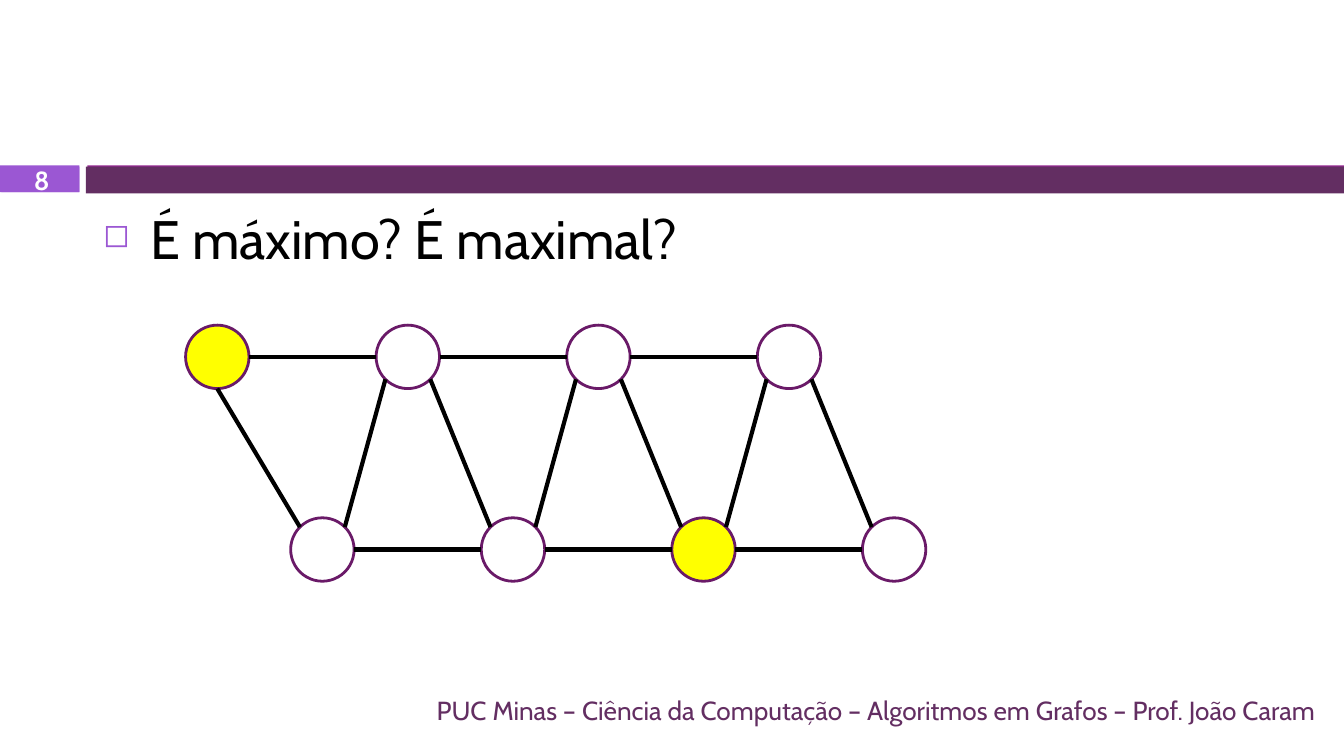
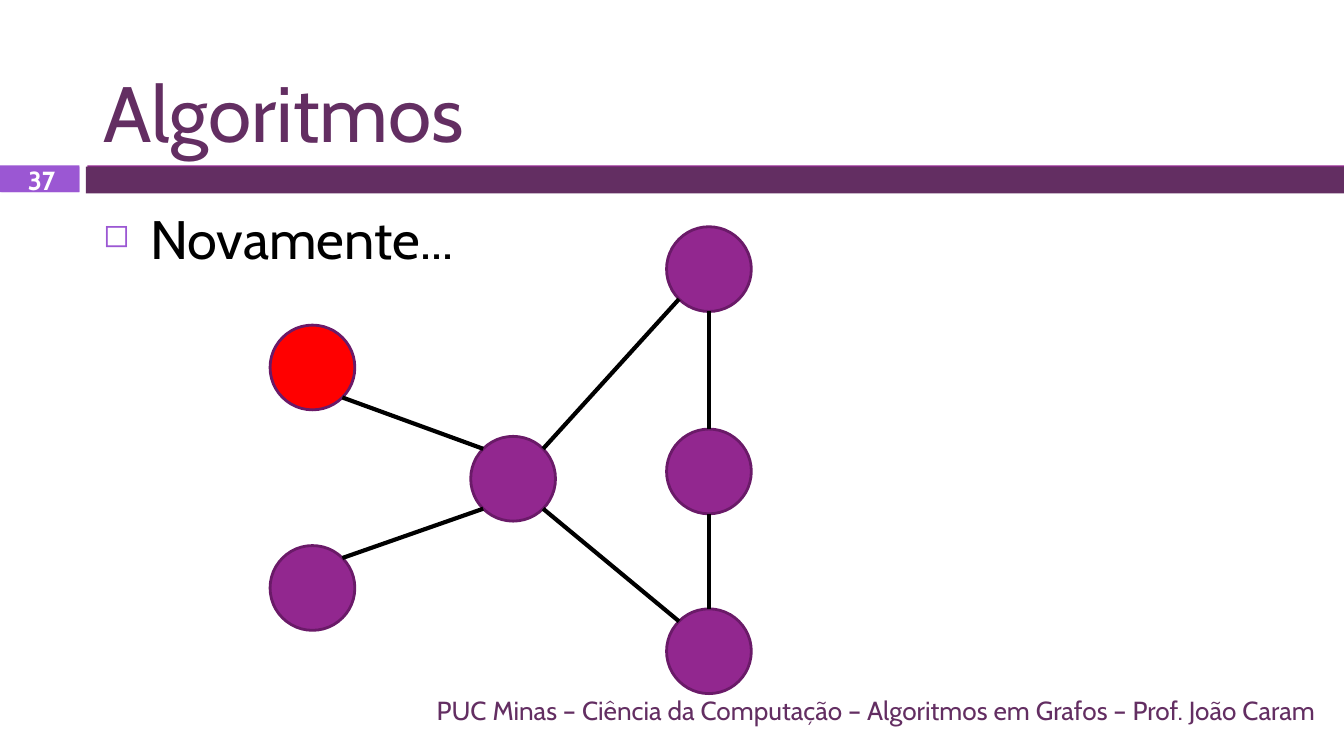
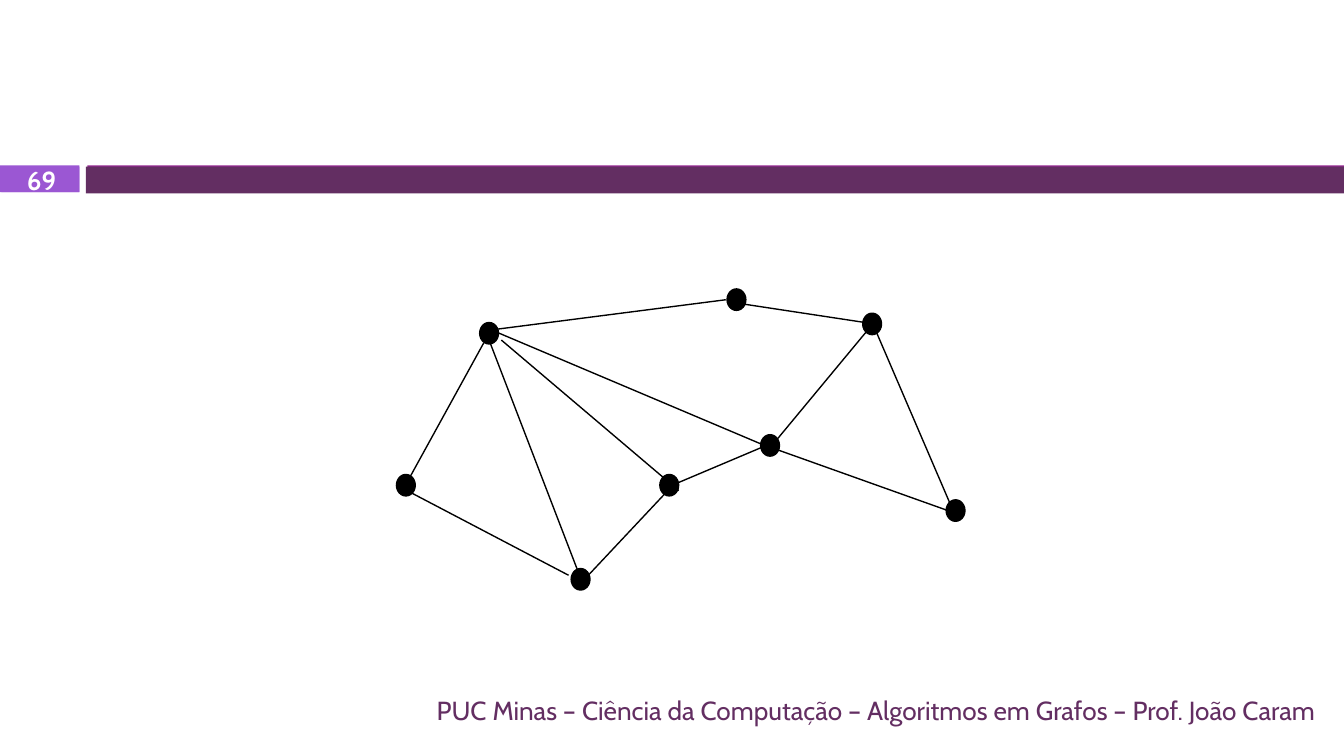
import dataclasses
import math

import lxml.etree
import pptx
import pptx.dml.color
import pptx.enum.shapes
import pptx.enum.text
import pptx.oxml.ns
import pptx.util

Pt = pptx.util.Pt
Color = pptx.dml.color.RGBColor.from_string
Align = pptx.enum.text.PP_ALIGN
Anchor = pptx.enum.text.MSO_ANCHOR
Shape = pptx.enum.shapes.MSO_SHAPE
qn = pptx.oxml.ns.qn


@dataclasses.dataclass(frozen=True)
class Theme:
    font: str = "Cabin"
    plum: str = "632E62"
    purple: str = "92278F"
    violet: str = "9B57D3"
    outline: str = "6A1A68"
    black: str = "000000"
    white: str = "FFFFFF"
    yellow: str = "FFFF00"
    red: str = "FF0000"
    title_size: int = 42
    body_size: int = 29
    small_size: int = 14


theme = Theme()
FOOTER = "PUC Minas – Ciência da Computação – Algoritmos em Grafos – Prof. João Caram"
TITLE_AREA = (48.2, 9.4, 663.8, 79.2)
BODY_AREA = (48.2, 106.6, 663.8, 257.8)
NUMBER_AREA = (1.4, 89.3, 41.8, 14.4)
FOOTER_AREA = (48.2, 369.4, 663.8, 21.6)


def draw_shape(shapes, kind, area, fill, outline=None, weight=0):
    """Draw a filled shape and return its eight edge points by compass name."""
    shape = shapes.add_shape(kind, *map(Pt, area))
    shape.shadow.inherit = False
    shape.fill.solid()
    shape.fill.fore_color.rgb = Color(fill)
    if outline:
        shape.line.color.rgb = Color(outline)
        shape.line.width = Pt(weight)
    else:
        shape.line.fill.background()
    left, top, width, height = area
    points = {}
    for step, name in enumerate(("E", "SE", "S", "SW", "W", "NW", "N", "NE")):
        angle = step * math.pi / 4
        points[name] = (left + width / 2 * (1 + math.cos(angle)),
                        top + height / 2 * (1 + math.sin(angle)))
    return points


def draw_edge(shapes, begin, end, weight=2.25):
    edge = shapes.add_connector(pptx.enum.shapes.MSO_CONNECTOR.STRAIGHT,
                                *map(Pt, begin + end))
    edge.line.color.rgb = Color(theme.black)
    edge.line.width = Pt(weight)
    lxml.etree.SubElement(edge.element.spPr, qn("a:effectLst"))


deck = pptx.Presentation()
deck.slide_width, deck.slide_height = Pt(720), Pt(405)
title_only, blank = deck.slide_layouts[5], deck.slide_layouts[6]

# Page frame: title, body, number and footer
pages = []
for number, title, body in (
    ("8", None, "É máximo? É maximal?"),
    ("37", "Algoritmos", "Novamente..."),
    ("69", None, None),
):
    page = deck.slides.add_slide(title_only if title else blank)
    pages.append(page)
    for text, area, size, color, align, anchor in (
        (title, TITLE_AREA, theme.title_size, theme.plum, Align.LEFT, Anchor.BOTTOM),
        (body, BODY_AREA, theme.body_size, theme.black, Align.LEFT, Anchor.TOP),
        (number, NUMBER_AREA, theme.small_size, theme.white, Align.CENTER, Anchor.MIDDLE),
        (FOOTER, FOOTER_AREA, theme.small_size, theme.plum, Align.RIGHT, Anchor.MIDDLE),
    ):
        if not text:
            continue
        if area == TITLE_AREA:
            box = page.shapes.title
            box.left, box.top, box.width, box.height = map(Pt, area)
        else:
            box = page.shapes.add_textbox(*map(Pt, area))
        frame = box.text_frame
        frame.word_wrap = True
        frame.auto_size = pptx.enum.text.MSO_AUTO_SIZE.NONE
        frame.vertical_anchor = anchor
        para = frame.paragraphs[0]
        para.text = text
        para.alignment = align
        if area == BODY_AREA:
            settings = para._p.get_or_add_pPr()
            settings.set("marL", str(Pt(25.2)))
            settings.set("indent", str(Pt(-25.2)))
            bullet_color = lxml.etree.SubElement(settings, qn("a:buClr"))
            lxml.etree.SubElement(bullet_color, qn("a:srgbClr"), val=theme.violet)
            lxml.etree.SubElement(settings, qn("a:buSzPct"), val="60000")
            lxml.etree.SubElement(settings, qn("a:buChar"), char="◻")
        para.font.name = theme.font
        para.font.size = Pt(size)
        para.font.bold = area == NUMBER_AREA
        para.font.color.rgb = Color(color)

zigzag_page, star_page, map_page = pages

# Bands go on the master, behind every page
for area, fill in (
    ((0.7, 89.3, 41.8, 13.7), theme.violet),
    ((46.8, 88.6, 673.2, 13.7), theme.purple),
    ((46.1, 89.3, 673.9, 14.4), theme.plum),
    ((0, 88.6, 42.5, 14.4), theme.violet),
):
    draw_shape(zigzag_page.shapes, Shape.RECTANGLE, area, fill)
    deck.slide_master.shapes.element.append(zigzag_page.shapes[-1].element)

# Zigzag graph: two rows of four nodes
rows = []
for left, top, marked in ((99.4, 174.2, 0), (155.7, 277.4, 2)):
    row = []
    for column in range(4):
        fill = theme.yellow if column == marked else theme.white
        area = (left + column * 102.1, top, 34, 34)
        row.append(draw_shape(zigzag_page.shapes, Shape.OVAL, area, fill, theme.outline, 1.5))
    for node, neighbour in zip(row, row[1:]):
        draw_edge(zigzag_page.shapes, node["E"], neighbour["W"])
    rows.append(row)
upper, lower = rows
for column in range(4):
    draw_edge(zigzag_page.shapes, upper[column]["SE" if column else "S"], lower[column]["NW"])
    if column:
        draw_edge(zigzag_page.shapes, upper[column]["SW"], lower[column - 1]["NE"])

# Star graph: a hub, two leaves and a chain of three
star = {}
for name, left, top, fill in (
    ("first leaf", 144.7, 174.2, theme.red),
    ("second leaf", 144.7, 292.3, theme.purple),
    ("hub", 252.2, 233.8, theme.purple),
    ("chain top", 357.1, 121.5, theme.purple),
    ("chain middle", 357.1, 229.9, theme.purple),
    ("chain bottom", 357.1, 326.2, theme.purple),
):
    star[name] = draw_shape(star_page.shapes, Shape.OVAL, (left, top, 45.4, 45.4),
                            fill, theme.outline, 1.5)
for start, start_side, finish, finish_side in (
    ("hub", "SW", "second leaf", "NE"),
    ("hub", "NW", "first leaf", "SE"),
    ("chain top", "SW", "hub", "NE"),
    ("chain bottom", "NW", "hub", "SE"),
    ("chain top", "S", "chain middle", "N"),
    ("chain middle", "S", "chain bottom", "N"),
):
    draw_edge(star_page.shapes, star[start][start_side], star[finish][finish_side])

# Map graph: small dots joined by thin lines, in one group
map_shapes = map_page.shapes.add_group_shape().shapes
for begin, end in (
    ((219.6, 255.6), (259.2, 183.6)),
    ((268.6, 182.2), (363.6, 262.8)),
    ((313.2, 310.3), (357.8, 262.8)),
    ((262.8, 184.3), (311, 309.6)),
    ((215.3, 261.4), (304.6, 308.2)),
    ((358.6, 260.6), (409.7, 239)),
    ((265.7, 177.8), (410.4, 239)),
    ((409, 238.3), (511.9, 275)),
    ((260.6, 177.1), (388.8, 160.6)),
    ((392.4, 162), (468, 173.5)),
    ((413.3, 239), (465.8, 175.7)),
    ((467.3, 172.8), (511.2, 275)),
):
    draw_edge(map_shapes, begin, end, 0.75)
for left, top in (
    (257, 172.8), (353.5, 254.2), (306, 304.6), (212.4, 254.2),
    (407.5, 232.9), (389.5, 154.8), (462.2, 167.8), (506.9, 267.8),
):
    draw_shape(map_shapes, Shape.OVAL, (left, top, 10.1, 11.5), theme.black, theme.black, 0.75)

deck.save("out.pptx")
